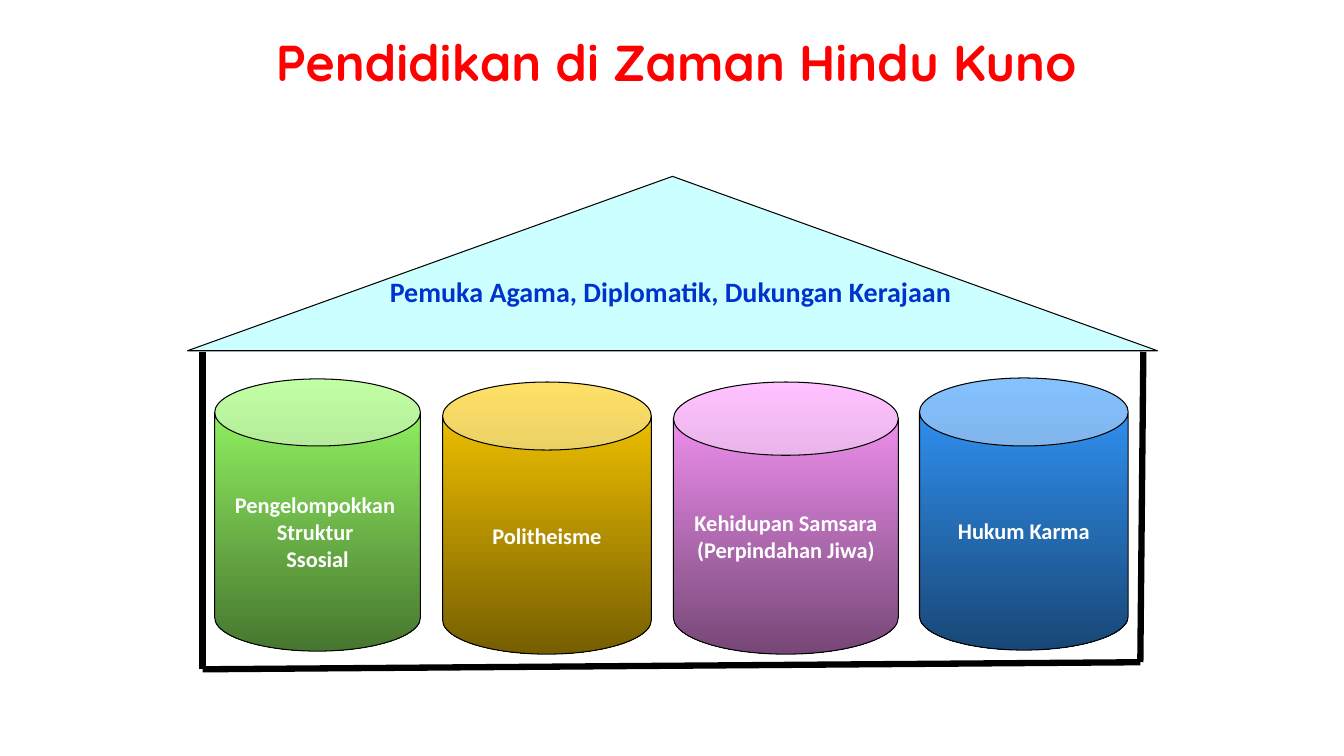
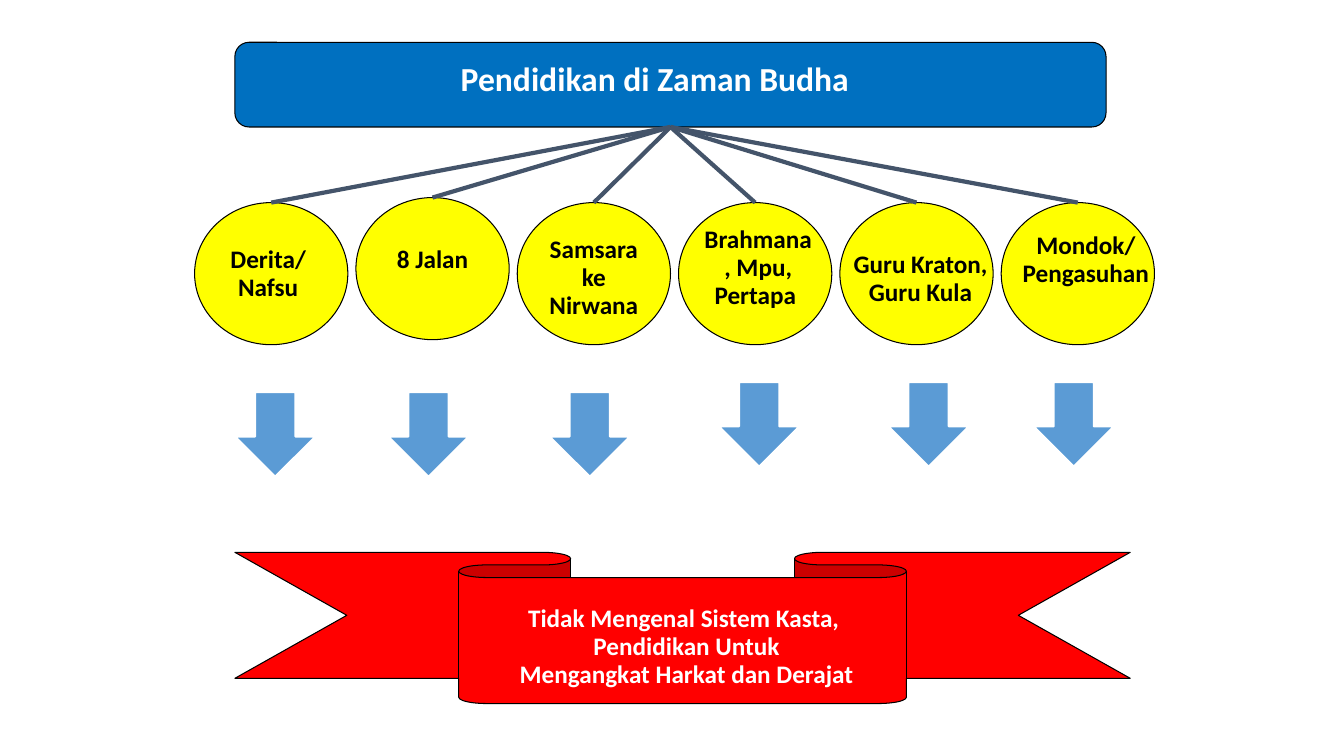
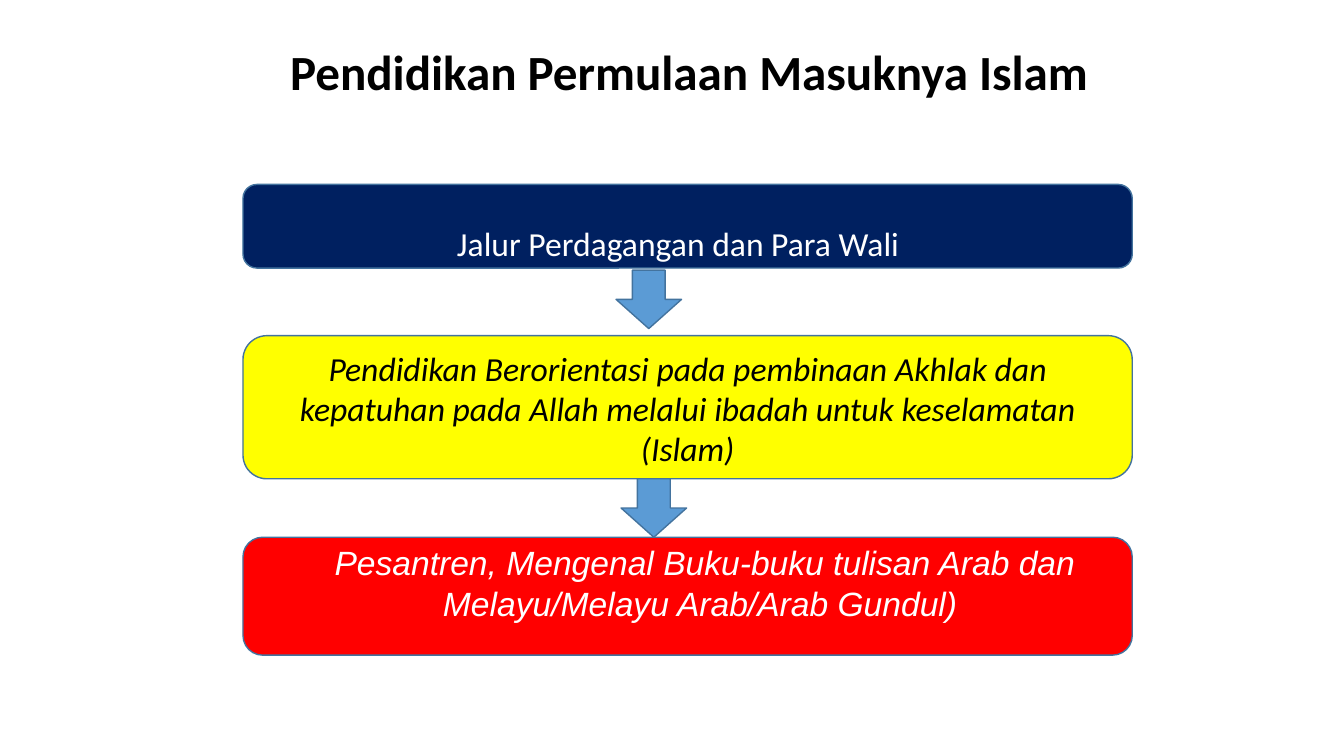
from lxml import etree
from pptx import Presentation
from pptx import util as u
from pptx.dml.color import RGBColor
from pptx.enum import shapes, text
from pptx.oxml import ns

Inches = u.Inches
PRESET = shapes.MSO_SHAPE

BLACK = RGBColor(0x00, 0x00, 0x00)
WHITE = RGBColor(0xFF, 0xFF, 0xFF)
RED = RGBColor(0xFF, 0x00, 0x00)
YELLOW = RGBColor(0xFF, 0xFF, 0x00)
NAVY = RGBColor(0x00, 0x20, 0x60)
BLUE = RGBColor(0x00, 0x70, 0xC0)
ROYAL = RGBColor(0x00, 0x33, 0xCC)
SLATE = RGBColor(0x44, 0x54, 0x6A)
ARROW_BLUE = RGBColor(0x5B, 0x9B, 0xD5)
STEEL = RGBColor(0x43, 0x73, 0x9E)
ICE = RGBColor(0xCC, 0xFF, 0xFF)
GREEN = (RGBColor(0x99, 0xFF, 0x66), RGBColor(0x47, 0x76, 0x2F))
GOLD = (RGBColor(0xFF, 0xCC, 0x00), RGBColor(0x76, 0x5E, 0x00))
PINK = (RGBColor(0xFF, 0x99, 0xFF), RGBColor(0x76, 0x47, 0x76))
AZURE = (RGBColor(0x33, 0x99, 0xFF), RGBColor(0x18, 0x47, 0x76))

PILLAR_TEXT = {"name": "Calibri", "size": u.Pt(16), "bold": True}
LABEL_TEXT = {"name": "Calibri", "size": u.Pt(18), "bold": True}
ROOF_TEXT = {"name": "Calibri", "size": u.Pt(20), "bold": True}
HEADER_TEXT = {"name": "Calibri", "size": u.Pt(24), "bold": True}
STEP_TEXT = {"name": "Calibri", "size": u.Pt(24)}
STEP_ITALIC = {**STEP_TEXT, "italic": True}
STEP_ARIAL = {**STEP_ITALIC, "name": "Arial"}
TITLE_TEXT = {"size": u.Pt(36), "bold": True}


def inches(box):
    """Turn a row of numbers into lengths."""
    return [Inches(value) for value in box]


def write(frame, words, font, color, wrap=True, spacing=None):
    """Fill a text frame with one centred paragraph for each line of words."""
    frame.word_wrap = wrap
    for index, line in enumerate(words.split("\n")):
        paragraph = frame.add_paragraph() if index else frame.paragraphs[0]
        paragraph.alignment = text.PP_ALIGN.CENTER
        paragraph.line_spacing = spacing
        run = paragraph.add_run()
        run.text = line
        for name, value in font.items():
            setattr(run.font, name, value)
        run.font.color.rgb = color


def add_text(slide, box, words, font, color, **layout):
    """Add a text box and return its frame."""
    frame = slide.shapes.add_textbox(*inches(box)).text_frame
    write(frame, words, font, color, **layout)
    return frame


def add_title(slide, box, words, font_name, color, size=36):
    """Add the slide title."""
    add_text(slide, box, words, {**TITLE_TEXT, "name": font_name, "size": u.Pt(size)}, color)


def add_shape(slide, preset, box, fill, line=BLACK, weight=0.75):
    """Add a preset shape with a plain fill, or a vertical gradient for a pair."""
    shape = slide.shapes.add_shape(preset, *inches(box))
    shape.shadow.inherit = False
    shape.line.color.rgb = line
    shape.line.width = u.Pt(weight)
    if isinstance(fill, RGBColor):
        shape.fill.solid()
        shape.fill.fore_color.rgb = fill
    else:
        shape.fill.gradient()
        shape.fill.gradient_angle = 270
        for position, (stop, color) in enumerate(zip(shape.fill.gradient_stops, fill)):
            stop.position = position
            stop.color.rgb = color
    return shape


def add_line(slide, start, end, color, weight):
    """Add a straight connector without shadow."""
    connector = slide.shapes.add_connector(
        shapes.MSO_CONNECTOR.STRAIGHT, *inches((*start, *end)))
    connector.line.color.rgb = color
    connector.line.width = u.Pt(weight)
    etree.SubElement(connector._element.spPr, ns.qn("a:effectLst"))
    return connector


def add_house(slide, left, top, width, roof_height):
    """Draw the roof, the pillars and the walls of the house."""
    add_shape(slide, PRESET.FLOWCHART_EXTRACT, (left, top, width, roof_height), ICE)
    pillars = [
        (0.27, 2.01, 2.04, GREEN, "Pengelompokkan \nStruktur \nSsosial"),
        (2.53, 2.04, 2.07, GOLD, "Politheisme"),
        (4.82, 2.04, 2.23, PINK, "Kehidupan Samsara\n(Perpindahan Jiwa)"),
        (7.26, 2.0, 2.07, AZURE, "Hukum Karma"),
    ]
    for x, y, pillar_width, fill, words in pillars:
        pillar = add_shape(slide, PRESET.CAN, (left + x, top + y, pillar_width, 2.7), fill)
        pillar.adjustments[0] = 0.326
        write(pillar.text_frame, words, PILLAR_TEXT, WHITE, wrap=False)
    corners = [(0.15, 1.74), (0.15, 4.89), (9.45, 4.82), (9.48, 1.74)]
    points = [(left + x, top + y) for x, y in corners]
    for start, end in zip(points, points[1:]):
        add_line(slide, start, end, BLACK, 4.5)
    add_text(slide, (left + 1.88, top + 0.92, 5.82, 0.44),
             "Pemuka Agama, Diplomatik, Dukungan Kerajaan", ROOF_TEXT, ROYAL, wrap=False)


def add_header(slide, left, top, width, height):
    """Draw the header bar and return it."""
    header = add_shape(slide, PRESET.ROUNDED_RECTANGLE, (left, top, width, height), BLUE)
    add_text(slide, (left - 0.03, top + 0.11, width - 0.25, 0.5),
             "Pendidikan di Zaman Budha", HEADER_TEXT, WHITE)
    return header


def add_branches(slide, header, left, top, pitch):
    """Draw the circles, their labels, their links to the header and the arrows."""
    branches = [
        ("Derita/\nNafsu", 0, (0.16, 0.38, 1.14, 0.66), (0.4, 1.88)),
        ("8 Jalan", -0.05, (-0.08, 0.38, 1.68, 0.38), (0.32, 1.88)),
        ("Samsara ke Nirwana", 0, (0.19, 0.28, 1.14, 0.95), (0.32, 1.88)),
        ("Brahmana, Mpu, Pertapa ", 0, (0.14, 0.18, 1.3, 0.95), (0.4, 1.78)),
        ("Guru Kraton, Guru Kula", 0, (0, 0.43, 1.6, 0.67), (0.48, 1.78)),
        ("Mondok/\nPengasuhan", 0, (0.08, 0.24, 1.52, 0.66), (0.32, 1.78)),
    ]
    for index, (words, shift, label, arrow) in enumerate(branches):
        x = left + index * pitch
        circle = add_shape(slide, PRESET.OVAL, (x, top + shift, 1.52, 1.41), YELLOW)
        add_text(slide, (x + label[0], top + label[1], *label[2:]),
                 words, LABEL_TEXT, BLACK, spacing=0.93)
        link = add_line(slide, (x, top), (x, top), SLATE, 3)
        link.begin_connect(header, 2)
        link.end_connect(circle, 0)
        add_shape(slide, PRESET.DOWN_ARROW, (x + arrow[0], top + arrow[1], 0.8, 0.84),
                  ARROW_BLUE, WHITE, 1.5)


def add_banner(slide, left, top, width, height):
    """Draw the ribbon with the conclusion."""
    add_shape(slide, PRESET.DOWN_RIBBON, (left, top, width, height), RED)
    add_text(slide, (left + 2.4, top + 0.47, 4.16, 0.95),
             "Tidak Mengenal Sistem Kasta, \nPendidikan Untuk\nMengangkat Harkat dan Derajat",
             LABEL_TEXT, WHITE, spacing=0.93)


def add_steps(slide, left, top, width):
    """Draw the three stacked steps and the arrows between them."""
    steps = [
        (0, 0.83, NAVY, (-0.02, 0.33, 8.67, 0.51), STEP_TEXT, WHITE, 0,
         "Jalur Perdagangan dan Para Wali"),
        (1.5, 1.42, YELLOW, (0, 0.07, 8.82, 1.31), STEP_ITALIC, BLACK, 0,
         "Pendidikan Berorientasi pada pembinaan Akhlak dan kepatuhan pada Allah "
         "melalui ibadah untuk keselamatan (Islam)"),
        (3.5, 1.17, RED, (-0.08, 0, 8.94, 1.19), STEP_ARIAL, WHITE, 0.38,
         "Pesantren, Mengenal Buku-buku tulisan Arab dan "
         "Melayu/Melayu Arab/Arab Gundul) "),
    ]
    for y, height, fill, label, font, color, indent, words in steps:
        add_shape(slide, PRESET.ROUNDED_RECTANGLE, (left, top + y, width, height),
                  fill, STEEL, 1)
        frame = add_text(slide, (left + label[0], top + y + label[1], *label[2:]),
                         words, font, color)
        if indent:
            properties = frame.paragraphs[0]._p.get_or_add_pPr()
            properties.set("marL", str(Inches(indent)))
            properties.set("indent", "0")
    for x, y in [(3.7, 0.85), (3.75, 2.92)]:
        add_shape(slide, PRESET.DOWN_ARROW, (left + x, top + y, 0.65, 0.58),
                  ARROW_BLUE, STEEL, 1)


def main():
    """Build the three slides and save them."""
    presentation = Presentation()
    presentation.slide_width = Inches(13.33)
    presentation.slide_height = Inches(7.5)
    blank = presentation.slide_layouts[6]
    hindu, buddha, islam = [presentation.slides.add_slide(blank) for _ in range(3)]

    add_house(hindu, 1.86, 1.75, 9.62, 1.73)
    add_title(hindu, (2.58, 0.26, 8.25, 0.71),
              "Pendidikan di Zaman Hindu Kuno", "Quicksand", RED)

    header = add_header(buddha, 2.33, 0.42, 8.64, 0.84)
    add_branches(buddha, header, 1.93, 2.01, 1.6)
    add_banner(buddha, 2.33, 5.48, 8.88, 1.5)

    add_title(islam, (2.34, 0.36, 8.99, 0.83),
              "Pendidikan Permulaan Masuknya Islam", "Calibri", BLACK, 35.1)
    add_steps(islam, 2.41, 1.83, 8.82)

    presentation.save("out.pptx")


if __name__ == "__main__":
    main()
